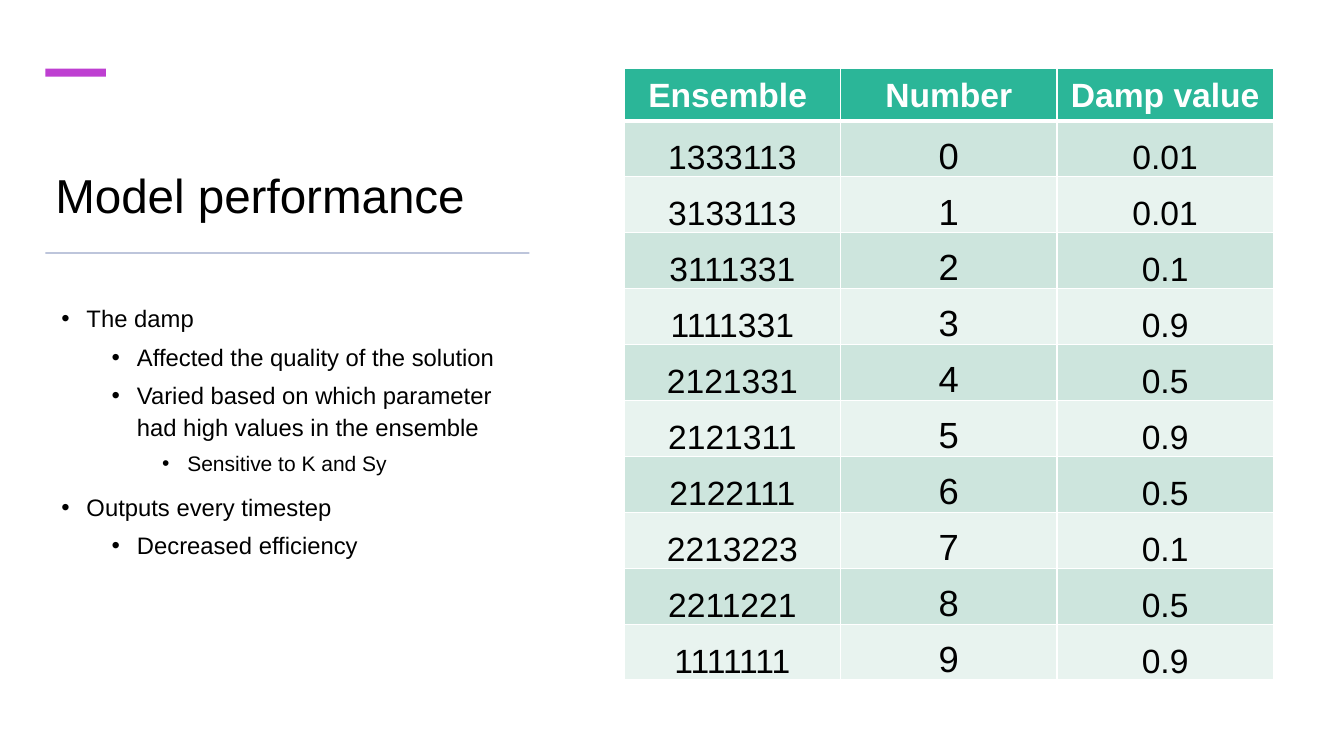
from dataclasses import dataclass

import pptx
import pptx.dml.color
import pptx.enum.shapes
import pptx.enum.text
import pptx.oxml
import pptx.oxml.ns
import pptx.util
from pptx.util import Inches

FONT = "Arial"
COLORS = {
    "text": "000000",
    "white": "FFFFFF",
    "accent": "BE3FD1",
    "rule": "BDC5DB",
    "header": "2BB698",
    "band_dark": "CDE5DD",
    "band_light": "E8F3EF",
}
ALIGN = pptx.enum.text.PP_ALIGN
ANCHOR = pptx.enum.text.MSO_ANCHOR


@dataclass
class Bar:
    left: float
    top: float
    width: float
    height: float
    color: str


@dataclass
class Bullet:
    text: str
    level: int = 0
    size: int = 17


BARS = [
    Bar(0.45, 0.68, 0.6, 0.08, "accent"),
    Bar(0.45, 2.5, 4.8, 0.02, "rule"),
]
BULLETS = [
    Bullet("The damp"),
    Bullet("Affected the quality of the solution", 1),
    Bullet("Varied based on which parameter had high values in the ensemble", 1),
    Bullet("Sensitive to K and Sy", 2, 15),
    Bullet("Outputs every timestep"),
    Bullet("Decreased efficiency", 1),
]
HEADERS = ["Ensemble ", "Number", "Damp value"]
ENSEMBLES = [
    ("1333113", "0.01"), ("3133113", "0.01"), ("3111331", "0.1"),
    ("1111331", "0.9"), ("2121331", "0.5"), ("2121311", "0.9"),
    ("2122111", "0.5"), ("2213223", "0.1"), ("2211221", "0.5"),
    ("1111111", "0.9"),
]


def rgb(name: str) -> pptx.dml.color.RGBColor:
    return pptx.dml.color.RGBColor.from_string(COLORS[name])


def add_run(p, text: str, size: int, color: str = "text", bold: bool = False) -> None:
    r = p.add_run()
    r.text = text
    r.font.name = FONT
    r.font.size = pptx.util.Pt(size)
    r.font.bold = bold
    r.font.color.rgb = rgb(color)


def add_bar(s, bar: Bar) -> None:
    sp = s.shapes.add_shape(
        pptx.enum.shapes.MSO_SHAPE.RECTANGLE,
        Inches(bar.left), Inches(bar.top), Inches(bar.width), Inches(bar.height))
    sp.shadow.inherit = False
    sp.fill.solid()
    sp.fill.fore_color.rgb = rgb(bar.color)
    sp.line.fill.background()


def add_text_box(s, top: float, height: float, anchor):
    sp = s.shapes.add_textbox(Inches(0.45), Inches(top), Inches(4.86), Inches(height))
    tf = sp.text_frame
    tf.word_wrap = True
    tf.vertical_anchor = anchor
    return tf


def add_bullets(tf, bullets: list[Bullet]) -> None:
    for i, bullet in enumerate(bullets):
        p = tf.add_paragraph() if i else tf.paragraphs[0]
        p.level = bullet.level
        p.line_spacing = 1.1
        if i:
            p.space_before = pptx.util.Pt(5 if bullet.level else 10)
        pPr = p._p.get_or_add_pPr()
        pPr.set("marL", str(Inches(0.31 + 0.5 * bullet.level)))
        pPr.set("indent", str(Inches(-0.25)))
        pPr.append(pptx.oxml.parse_xml(
            f'<a:buFont {pptx.oxml.ns.nsdecls("a")} typeface="{FONT}"/>'))
        pPr.append(pptx.oxml.parse_xml(
            f'<a:buChar {pptx.oxml.ns.nsdecls("a")} char="•"/>'))
        add_run(p, bullet.text, bullet.size)


def set_borders(cell, top: float, bottom: float) -> None:
    tcPr = cell._tc.get_or_add_tcPr()
    for side, width in (("L", 1), ("R", 1), ("T", top), ("B", bottom)):
        tcPr.append(pptx.oxml.parse_xml(
            f'<a:ln{side} {pptx.oxml.ns.nsdecls("a")} w="{pptx.util.Pt(width)}">'
            f'<a:solidFill><a:srgbClr val="{COLORS["white"]}"/></a:solidFill>'
            f'</a:ln{side}>'))


def add_ensemble_table(s) -> None:
    rows = [HEADERS] + [[code, str(n), damp] for n, (code, damp) in enumerate(ENSEMBLES)]
    table = s.shapes.add_table(
        len(rows), len(HEADERS),
        Inches(6.19), Inches(0.68), Inches(6.44), Inches(6.07)).table
    for column in table.columns:
        column.width = Inches(6.44 / len(HEADERS))
    for i, values in enumerate(rows):
        header = i == 0
        table.rows[i].height = Inches(0.52 if header else 0.555)
        band = "header" if header else ("band_dark" if i % 2 else "band_light")
        for j, value in enumerate(values):
            cell = table.cell(i, j)
            cell.margin_left = cell.margin_right = cell.margin_top = Inches(0.02)
            cell.margin_bottom = 0
            cell.vertical_anchor = ANCHOR.MIDDLE if header else ANCHOR.BOTTOM
            set_borders(cell, 3 if i == 1 else 1, 3 if header else 1)
            cell.fill.solid()
            cell.fill.fore_color.rgb = rgb(band)
            p = cell.text_frame.paragraphs[0]
            p.alignment = ALIGN.CENTER
            size = 26 if j == 1 and not header else 24
            add_run(p, value, size, "white" if header else "text", header)


def main() -> None:
    prs = pptx.Presentation()
    prs.slide_width, prs.slide_height = Inches(13.33), Inches(7.5)
    s = prs.slides.add_slide(prs.slide_layouts[6])

    # Title
    p = add_text_box(s, 1.08, 1.19, ANCHOR.BOTTOM).paragraphs[0]
    p.line_spacing = 0.9
    add_run(p, "Model performance", 34)

    # Accent bar and rule
    for bar in BARS:
        add_bar(s, bar)

    # Findings
    add_bullets(add_text_box(s, 2.94, 3.82, ANCHOR.TOP), BULLETS)

    # Damp value of each ensemble
    add_ensemble_table(s)

    prs.save("out.pptx")


if __name__ == "__main__":
    main()
